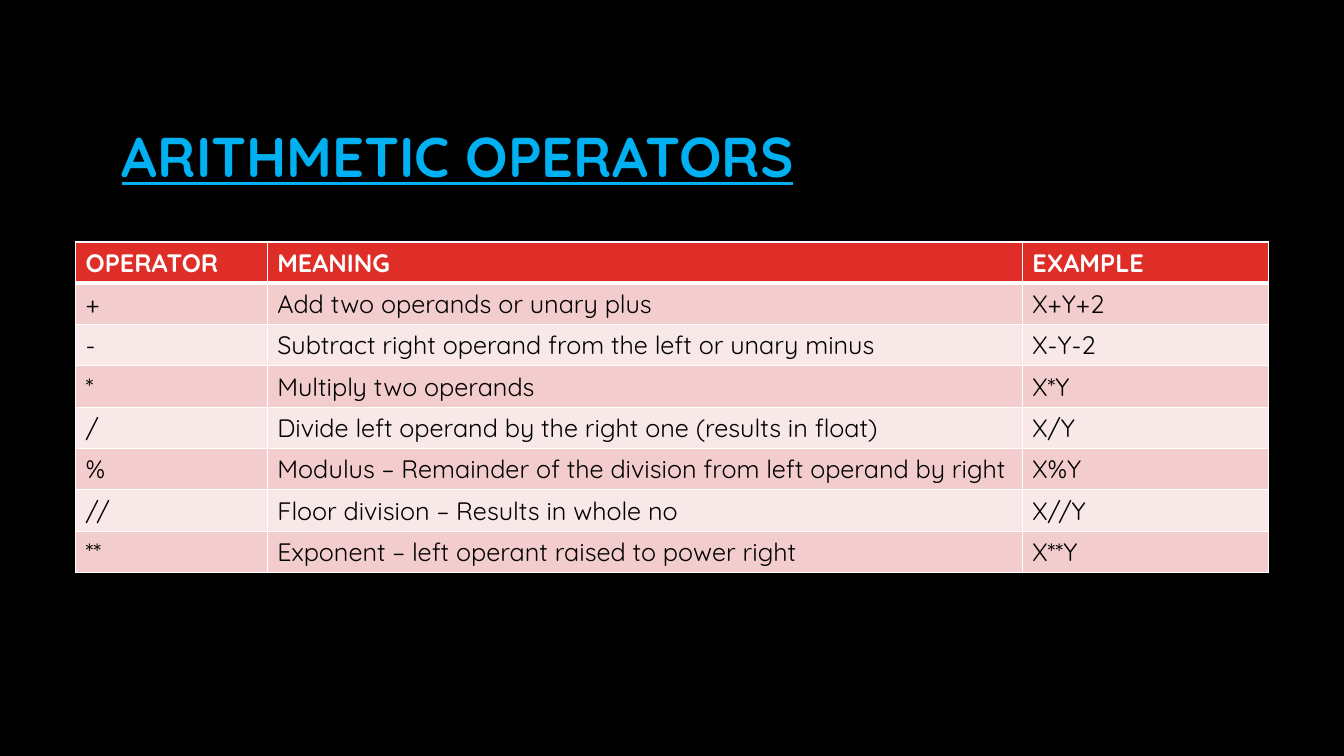
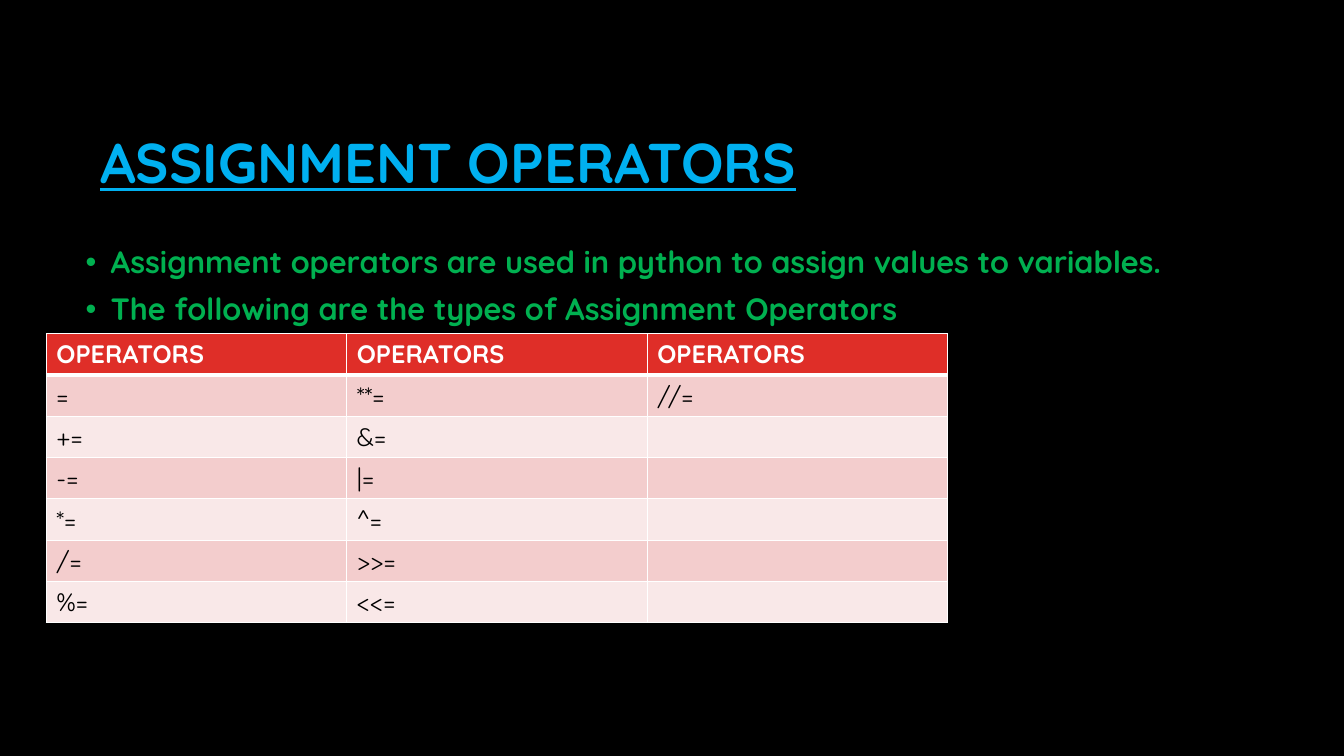
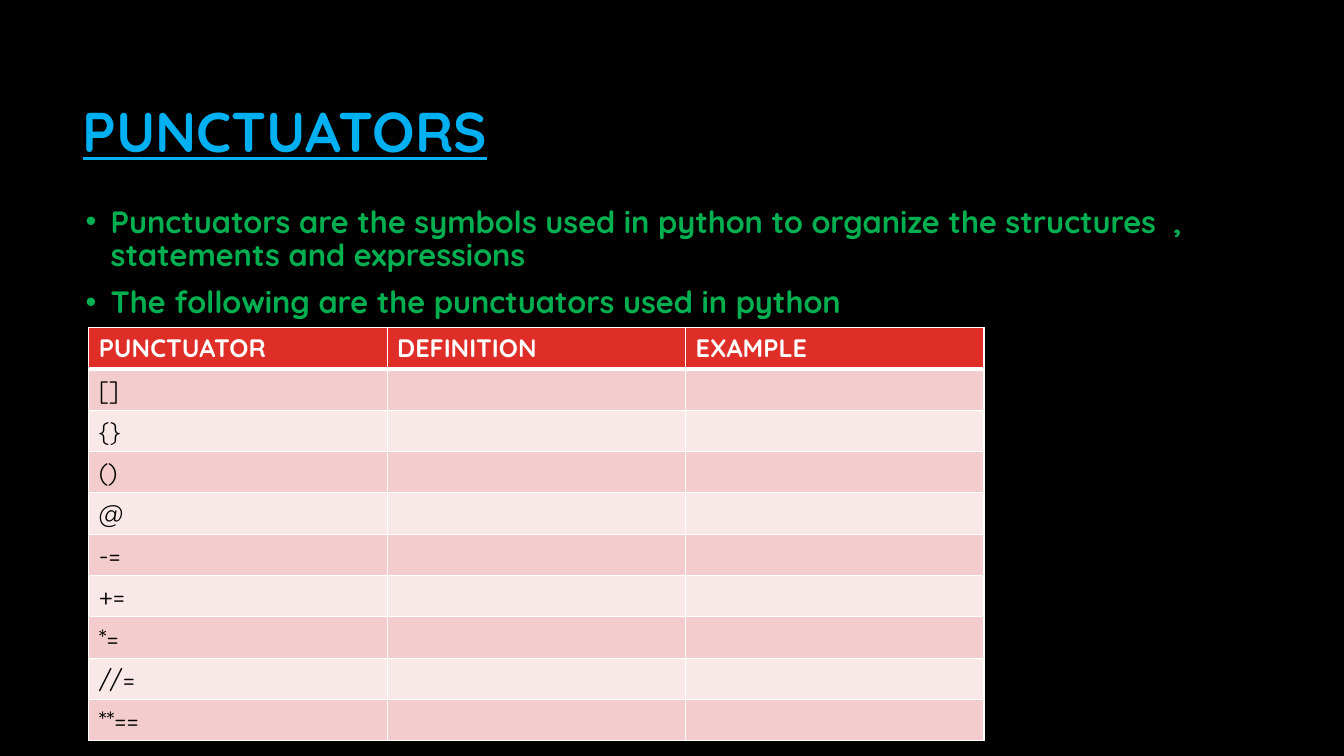
from dataclasses import dataclass

from lxml import etree
from pptx import Presentation
from pptx.dml.color import RGBColor
from pptx.enum import text as t
from pptx.oxml import ns
from pptx.util import Inches, Pt

FONT = "Quicksand"
BLACK = RGBColor(0x00, 0x00, 0x00)
WHITE = RGBColor(0xFF, 0xFF, 0xFF)
BLUE = RGBColor(0x00, 0xB0, 0xF0)
GREEN = RGBColor(0x00, 0xB0, 0x50)
RED = RGBColor(0xDF, 0x2E, 0x28)
BANDS = (RGBColor(0xF3, 0xCD, 0xCD), RGBColor(0xF9, 0xE8, 0xE8))

WIDE, HIGH = 13.33, 7.5
EDGE, BODY_W, BODY_H = 0.75, 11.83, 4.4
TITLE_H = 1.41
ROW_H = 0.41
THIN, THICK = 1, 3


@dataclass(frozen=True)
class Title:
    words: str
    left: float
    top: float
    width: float = 9.42
    align: t.PP_ALIGN = t.PP_ALIGN.LEFT


@dataclass(frozen=True)
class Body:
    top: float
    points: tuple[str, ...]


@dataclass(frozen=True)
class Grid:
    left: float
    top: float
    cols: tuple[float, ...]
    rows: tuple[tuple[str, ...], ...]


@dataclass(frozen=True)
class Page:
    title: Title
    grid: Grid
    body: Body | None = None


PAGES = (
    Page(
        Title("ARITHMETIC OPERATORS", 1.11, 0.88),
        Grid(EDGE, 2.4, (1.9, 7.49, 2.44), (
            ("OPERATOR", "MEANING", "EXAMPLE"),
            ("+", "Add two operands or unary plus", "X+Y+2"),
            ("-", "Subtract right operand from the left or unary minus", "X-Y-2"),
            ("*", "Multiply two operands", "X*Y"),
            ("/", "Divide left operand by the right one (results in float)", "X/Y"),
            ("%", "Modulus – Remainder of the division from left operand by right", "X%Y"),
            ("//", "Floor division – Results in whole no", "X//Y"),
            ("**", "Exponent – left operant raised to power right", "X**Y"),
        )),
    ),
    Page(
        Title("ASSIGNMENT OPERATORS", 0, 0.94, 7.99, t.PP_ALIGN.RIGHT),
        Grid(0.46, 3.31, (2.98,) * 3, (
            ("OPERATORS",) * 3,
            ("=", "**=", "//="),
            ("+=", "&=", ""),
            ("-=", "|=", ""),
            ("*=", "^=", ""),
            ("/=", ">>=", ""),
            ("%=", "<<=", ""),
        )),
        Body(2.4, (
            "Assignment operators are used in python to assign values to variables.",
            "The following are the types of Assignment Operators",
        )),
    ),
    Page(
        Title("PUNCTUATORS", 0.72, 0.63),
        Grid(0.88, 3.25, (2.96,) * 3, (
            ("PUNCTUATOR", "DEFINITION", "EXAMPLE"),
            *((mark, "", "") for mark in
              ("[]", "{}", "()", "@", "-=", "+=", "*=", "//=", "**==")),
        )),
        Body(2, (
            "Punctuators are the symbols used in python to organize the structures  , "
            "statements and expressions",
            "The following are the punctuators used in python",
        )),
    ),
)


def style(para, size: int, color: RGBColor, bold: bool = True) -> None:
    font = para.font
    font.name, font.size, font.bold = FONT, Pt(size), bold
    font.color.rgb = color


def add_box(slide, left: float, top: float, width: float, height: float):
    box = slide.shapes.add_textbox(*map(Inches, (left, top, width, height)))
    box.text_frame.word_wrap = True
    return box.text_frame


def add_title(slide, title: Title) -> None:
    frame = add_box(slide, title.left, title.top, title.width, TITLE_H)
    frame.vertical_anchor = t.MSO_ANCHOR.MIDDLE
    para = frame.paragraphs[0]
    para.text, para.alignment, para.line_spacing = title.words, title.align, 0.9
    style(para, 40, BLUE)
    para.font.underline = True


def add_body(slide, body: Body) -> None:
    frame = add_box(slide, EDGE, body.top, BODY_W, BODY_H)
    frame.text = "\n".join(body.points)
    for para in frame.paragraphs:
        para.line_spacing, para.space_before = 0.9, Pt(10)
        style(para, 22, GREEN)
        add_bullet(para)


def add_bullet(para) -> None:
    """Hang a round bullet a quarter inch left of the text."""
    props = para._p.get_or_add_pPr()
    indent = Inches(0.25)
    props.set("marL", str(indent))
    props.set("indent", str(-indent))
    font = etree.Element(ns.qn("a:buFont"), typeface="Arial")
    mark = etree.Element(ns.qn("a:buChar"), char="•")
    run = props.find(ns.qn("a:defRPr"))
    run.addprevious(font)
    run.addprevious(mark)


def add_edges(cell, above: int, below: int) -> None:
    """Draw white borders, with the widths above and below in points."""
    props = cell._tc.get_or_add_tcPr()
    for side, width in (("L", THIN), ("R", THIN), ("T", above), ("B", below)):
        line = etree.SubElement(props, ns.qn(f"a:ln{side}"), w=str(Pt(width)))
        fill = etree.SubElement(line, ns.qn("a:solidFill"))
        etree.SubElement(fill, ns.qn("a:srgbClr"), val=str(WHITE))


def add_grid(slide, grid: Grid) -> None:
    count = len(grid.rows)
    size = (grid.left, grid.top, sum(grid.cols), count * ROW_H)
    table = slide.shapes.add_table(count, len(grid.cols), *map(Inches, size)).table
    for col, width in zip(table.columns, grid.cols):
        col.width = Inches(width)
    for r, words in enumerate(grid.rows):
        table.rows[r].height = Inches(ROW_H)
        head = r == 0
        for c, word in enumerate(words):
            cell = table.cell(r, c)
            add_edges(cell, THICK if r == 1 else THIN, THICK if head else THIN)
            cell.fill.solid()
            cell.fill.fore_color.rgb = RED if head else BANDS[(r - 1) % 2]
            para = cell.text_frame.paragraphs[0]
            if word:
                para.text = word
            style(para, 18, WHITE if head else BLACK, head)


def add_page(deck, page: Page) -> None:
    slide = deck.slides.add_slide(deck.slide_layouts[6])
    slide.background.fill.solid()
    slide.background.fill.fore_color.rgb = BLACK
    add_title(slide, page.title)
    if page.body:
        add_body(slide, page.body)
    add_grid(slide, page.grid)


def main() -> None:
    deck = Presentation()
    deck.slide_width, deck.slide_height = Inches(WIDE), Inches(HIGH)
    for page in PAGES:
        add_page(deck, page)
    deck.save("out.pptx")


if __name__ == "__main__":
    main()
